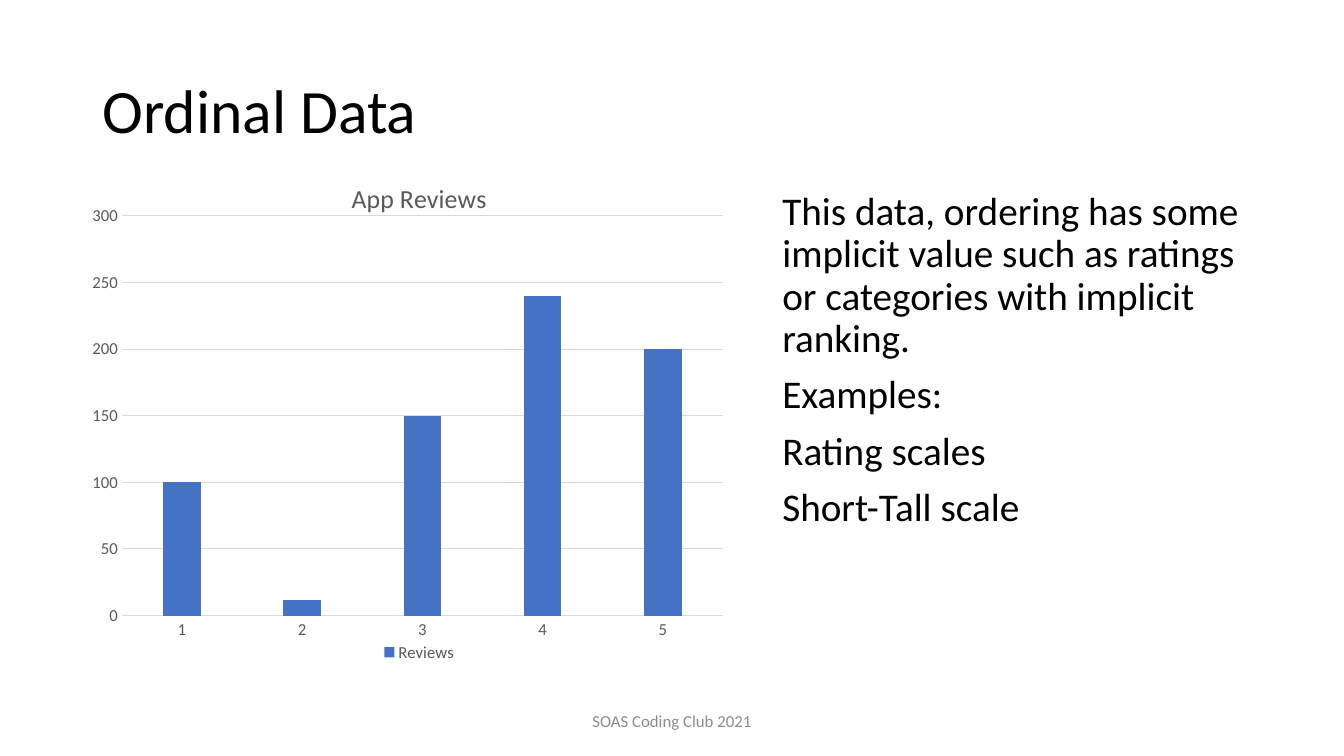
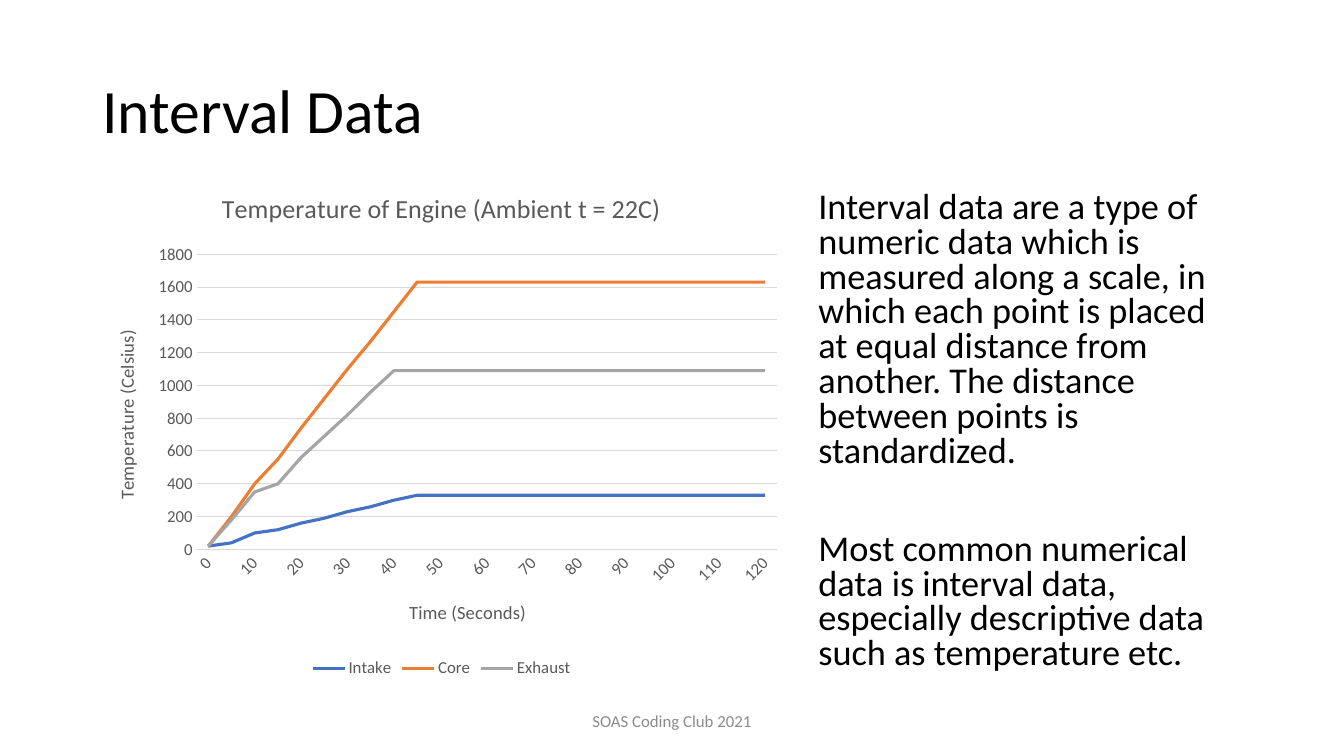
import pptx
import pptx.util
import pptx.chart.data
import pptx.dml.color
import pptx.enum.chart
import pptx.enum.text
import pptx.oxml

Cm = pptx.util.Cm
Pt = pptx.util.Pt
KIND = pptx.enum.chart.XL_CHART_TYPE
ALIGN = pptx.enum.text.PP_ALIGN
ANCHOR = pptx.enum.text.MSO_ANCHOR

FONT = "Calibri"
HUES = {
    "ink": "000000",
    "label": "595959",
    "foot": "8C8C8C",
    "grid": "D9D9D9",
    "blue": "4472C4",
    "orange": "ED7D31",
    "gray": "A5A5A5",
}
HEAD = (2.33, 1.01, 29.21, 3.68)
FOOT = (11.22, 17.66, 11.43, 1.01)


def hue(name):
    return pptx.dml.color.RGBColor.from_string(HUES[name])


def style(font, size, color):
    font.name = FONT
    font.size = Pt(size)
    font.bold = False
    font.color.rgb = hue(color)


def put(par, text, size=12, color="ink", align=None, lead=None, before=None):
    run = par.add_run()
    run.text = text
    style(run.font, size, color)
    par.alignment = align
    if lead is not None:
        par.line_spacing = lead
    if before is not None:
        par.space_before = Pt(before)


def place(shape, box):
    shape.left, shape.top, shape.width, shape.height = map(Cm, box)


def open_frame(shape, anchor):
    frame = shape.text_frame
    frame.word_wrap = True
    frame.auto_size = pptx.enum.text.MSO_AUTO_SIZE.NONE
    frame.vertical_anchor = anchor
    return frame


def add_title(slide, text, box=HEAD):
    shape = slide.shapes.title
    place(shape, box)
    frame = open_frame(shape, ANCHOR.MIDDLE)
    put(frame.paragraphs[0], text, size=44, align=ALIGN.LEFT, lead=0.9)


def add_body(slide, box, items, size, lead, gap=10):
    shape = slide.placeholders[1]
    place(shape, box)
    frame = open_frame(shape, ANCHOR.TOP)
    for i, text in enumerate(items):
        par = frame.add_paragraph() if i else frame.paragraphs[0]
        put(par, text, size=size, align=ALIGN.LEFT, lead=lead,
            before=gap if i else 10)
        props = par._p.get_or_add_pPr()
        props.set("marL", "0")
        props.set("indent", "0")
        props.append(pptx.oxml.parse_xml(
            '<a:buNone xmlns:a='
            '"http://schemas.openxmlformats.org/drawingml/2006/main"/>'))


def add_foot(slide, box=FOOT):
    shape = slide.shapes.add_textbox(*map(Cm, box))
    frame = open_frame(shape, ANCHOR.MIDDLE)
    put(frame.paragraphs[0], "SOAS Coding Club 2021", color="foot",
        align=ALIGN.CENTER)


def chart_xml(tag, inner="", val=None):
    attr = f' val="{val}"' if val else ""
    return pptx.oxml.parse_xml(
        '<c:%s xmlns:c="http://schemas.openxmlformats.org/drawingml/2006/chart"'
        '%s>%s</c:%s>' % (tag, attr, inner, tag))


def set_plot(chart, area):
    root = chart._chartSpace.xpath("c:chart/c:plotArea")[0]
    for old in root.xpath("c:layout"):
        root.remove(old)
    modes = '<c:layoutTarget val="inner"/><c:xMode val="edge"/><c:yMode val="edge"/>'
    sizes = "".join(f'<c:{k} val="{v}"/>' for k, v in zip("xywh", area))
    inner = f"<c:manualLayout>{modes}{sizes}</c:manualLayout>"
    root.insert(0, chart_xml("layout", inner))


def set_axis(axis, title=None):
    none = pptx.enum.chart.XL_TICK_MARK.NONE
    axis.major_tick_mark = axis.minor_tick_mark = none
    style(axis.tick_labels.font, 12, "label")
    if title:
        put(axis.axis_title.text_frame.paragraphs[0], title, size=13.3,
            color="label")


def set_line(line, color, width):
    line.color.rgb = hue(color)
    line.width = Pt(width)


def add_chart(slide, box, kind, title, cats, rows, top, step, names=(None, None)):
    data = pptx.chart.data.CategoryChartData()
    data.categories = cats
    for name, vals, _ in rows:
        data.add_series(name, vals)
    chart = slide.shapes.add_chart(kind, *map(Cm, box), data).chart
    style(chart.font, 10, "ink")
    chart.has_title = True
    put(chart.chart_title.text_frame.paragraphs[0], title, size=18.6,
        color="label")
    chart.has_legend = True
    chart.legend.position = pptx.enum.chart.XL_LEGEND_POSITION.BOTTOM
    chart.legend.include_in_layout = False
    style(chart.legend.font, 12, "label")

    base, side = chart.category_axis, chart.value_axis
    set_axis(base, names[0])
    set_axis(side, names[1])
    set_line(base.format.line, "grid", 0.75)
    side.format.line.fill.background()
    side.has_major_gridlines = True
    set_line(side.major_gridlines.format.line, "grid", 0.75)
    side.minimum_scale, side.maximum_scale, side.major_unit = 0, top, step
    for node in side._element.xpath("c:crossBetween"):
        side._element.remove(node)
    cross = side._element.xpath("c:crosses")[0]
    cross.addnext(chart_xml("crossBetween", val="between"))
    for body in base._element.xpath("c:txPr/a:bodyPr"):
        body.set("rot", "-60000000")

    plot = chart.plots[0]
    plot.vary_by_categories = False
    for item, (_, _, color) in zip(plot.series, rows):
        if kind == KIND.LINE:
            item.smooth = False
            set_line(item.format.line, color, 2.25)
        else:
            item.format.fill.solid()
            item.format.fill.fore_color.rgb = hue(color)
    return chart


def new_slide(deck, title):
    slide = deck.slides.add_slide(deck.slide_layouts[1])
    add_title(slide, title)
    add_foot(slide)
    return slide


def ordinal(deck):
    slide = new_slide(deck, "Ordinal Data")
    add_body(slide, (19.46, 4.7, 12.83, 12.09), [
        "This data, ordering has some implicit value such as ratings or "
        "categories with implicit ranking.",
        "Examples:",
        "Rating scales",
        "Short-Tall scale",
    ], size=28, lead=0.9)
    chart = add_chart(
        slide, (2.33, 4.04, 16.38, 12.75), KIND.COLUMN_CLUSTERED, "App Reviews",
        ["1", "2", "3", "4", "5"],
        [("Reviews", [100, 12, 150, 240, 200], "blue")], top=300, step=50)
    chart.plots[0].gap_width = 219
    chart.plots[0].overlap = -27
    set_plot(chart, (0.04, 0.11, 0.93, 0.79))


def interval(deck):
    slide = new_slide(deck, "Interval Data")
    add_body(slide, (20.37, 4.7, 11.18, 12.09), [
        "Interval data are a type of numeric data which is measured along a "
        "scale, in which each point is placed at equal distance from another. "
        "The distance between points is standardized.",
        "Most common numerical data is interval data, especially descriptive "
        "data such as temperature etc.",
    ], size=25.9, lead=0.8, gap=45)
    intake = [20, 40, 100, 120, 160, 190, 230, 260, 300] + [330] * 16
    core = [20, 200, 400, 550, 740, 920, 1100, 1270, 1450] + [1630] * 16
    vent = [20, 180, 350, 400, 560, 690, 820, 960] + [1090] * 17
    add_chart(
        slide, (2.33, 4.29, 17.6, 12.9), KIND.LINE,
        "Temperature of Engine (Ambient t = 22C)",
        [str(n) for n in range(0, 125, 5)],
        [("Intake", intake, "blue"), ("Core", core, "orange"),
         ("Exhaust", vent, "gray")], top=1800, step=200,
        names=("Time (Seconds)", "Temperature (Celsius)"))


def main():
    deck = pptx.Presentation()
    deck.slide_width, deck.slide_height = Cm(33.87), Cm(19.05)
    ordinal(deck)
    interval(deck)
    deck.save("out.pptx")


if __name__ == "__main__":
    main()
